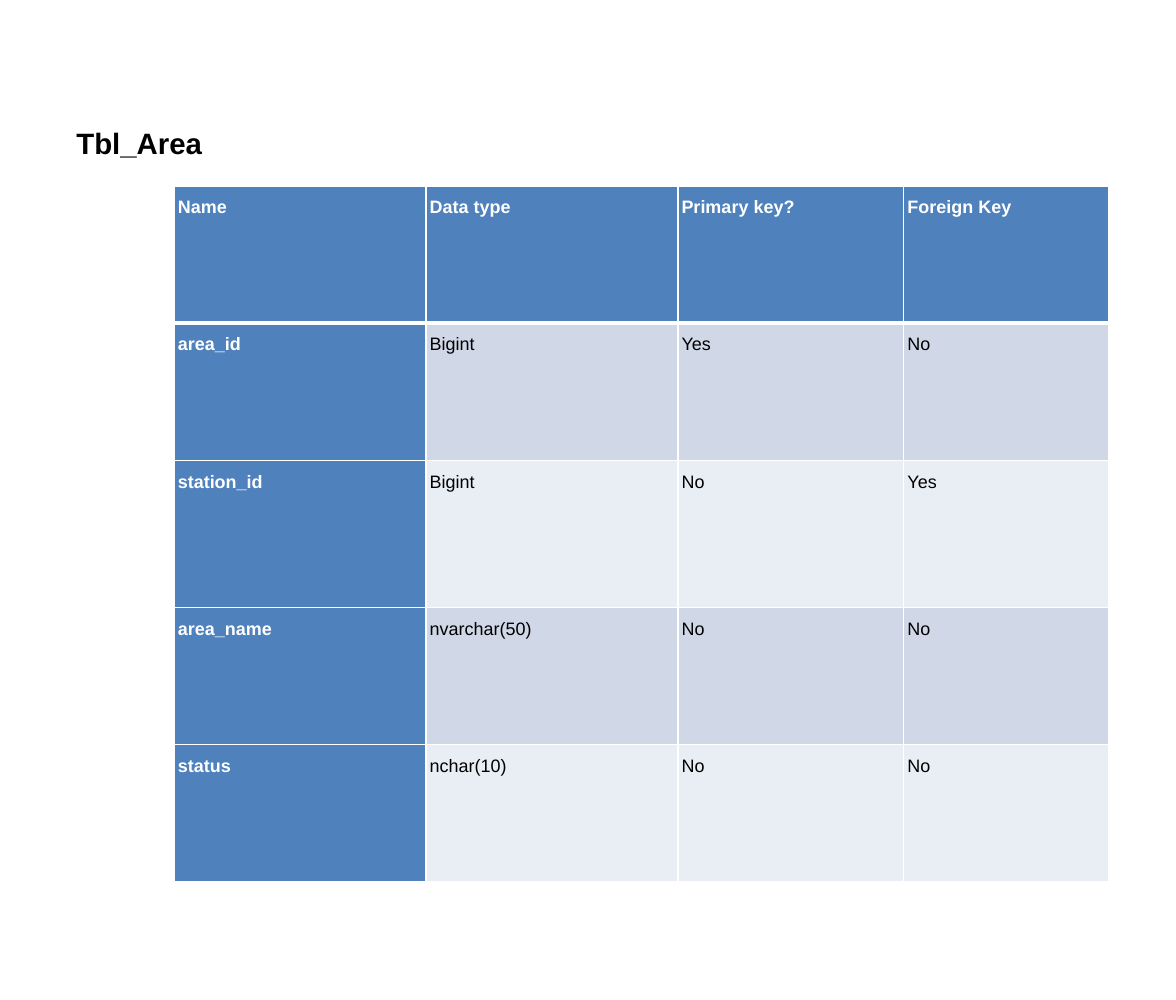
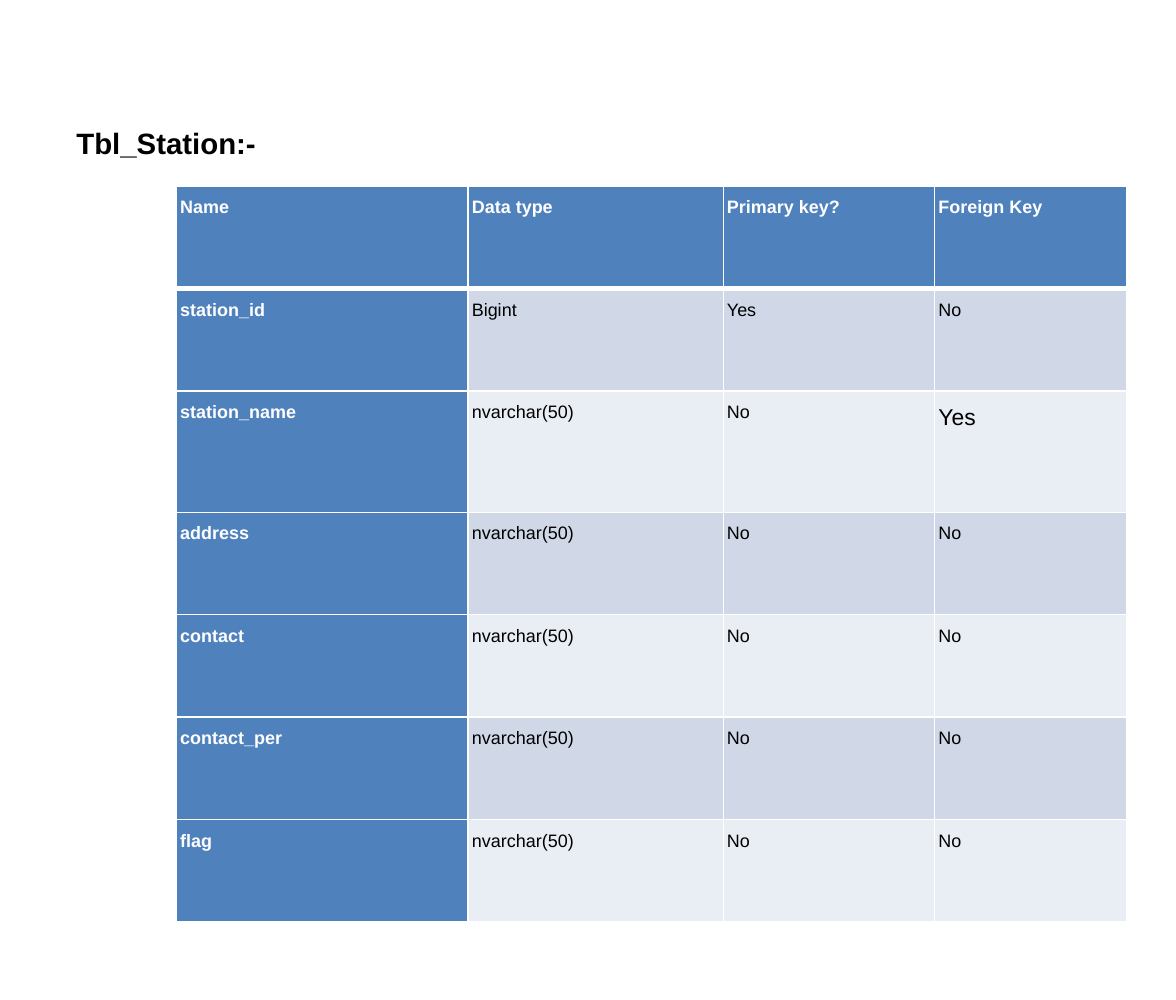
from lxml import etree
from pptx import Presentation
from pptx import util as u
from pptx.dml.color import RGBColor
from pptx.enum import text
from pptx.oxml import ns

WHITE = RGBColor(0xFF, 0xFF, 0xFF)
BLACK = RGBColor(0x00, 0x00, 0x00)
HEADER_BLUE = RGBColor(0x4F, 0x81, 0xBD)
BAND_DARK = RGBColor(0xD0, 0xD8, 0xE8)
BAND_LIGHT = RGBColor(0xE9, 0xED, 0xF4)

HEADINGS = ("Name", "Data type", "Primary key?", "Foreign Key")
AREA_FIELDS = (
    ("area_id", "Bigint", "Yes", "No"),
    ("station_id", "Bigint", "No", "Yes"),
    ("area_name", "nvarchar(50)", "No", "No"),
    ("status", "nchar(10)", "No", "No"),
)
STATION_FIELDS = (
    ("station_id", "Bigint", "Yes", "No"),
    ("station_name", "nvarchar(50)", "No", "Yes"),
    *((name, "nvarchar(50)", "No", "No")
      for name in ("address", "contact", "contact_per", "flag")),
)


def write_text(para, words, size=11, color=BLACK, bold=False, spacing=None):
    if spacing:
        para.line_spacing = spacing
    span = para.add_run()
    span.text = words
    span.font.name = "Arial"
    span.font.size = u.Pt(size)
    span.font.bold = bold
    span.font.color.rgb = color


def draw_borders(cell, top=1, bottom=1):
    properties = cell._tc.get_or_add_tcPr()
    widths = {"lnL": 1, "lnR": 1, "lnT": top, "lnB": bottom}
    for position, (side, width) in enumerate(widths.items()):
        line = etree.Element(ns.qn(f"a:{side}"), w=str(u.Pt(width)))
        fill = etree.SubElement(line, ns.qn("a:solidFill"))
        etree.SubElement(fill, ns.qn("a:srgbClr"), val=str(WHITE))
        properties.insert(position, line)


class SchemaDeck:
    def __init__(self):
        self.deck = Presentation()
        self.deck.slide_width = u.Cm(25.4)
        self.deck.slide_height = u.Cm(21.59)
        self.page = None

    def add_page(self):
        self.page = self.deck.slides.add_slide(self.deck.slide_layouts[6])

    def add_title(self, words, width):
        box = self.page.shapes.add_textbox(u.Cm(1.4), u.Cm(2.57), u.Cm(width), u.Cm(1.02))
        frame = box.text_frame
        frame.word_wrap = False
        frame.auto_size = text.MSO_AUTO_SIZE.SHAPE_TO_FIT_TEXT
        frame.vertical_anchor = text.MSO_ANCHOR.MIDDLE
        write_text(frame.paragraphs[0], words, size=18, bold=True)

    def add_fields(self, fields, left, widths, height, tall_height, large_cell=None):
        rows = (HEADINGS, *fields)
        heights = [tall_height if index == 2 else height for index in range(len(rows))]
        table = self.page.shapes.add_table(
            len(rows), len(widths), u.Cm(left), u.Cm(4.02),
            u.Cm(sum(widths)), u.Cm(sum(heights))).table
        for column, width in zip(table.columns, widths):
            column.width = u.Cm(width)
        for row_index, row in enumerate(rows):
            table.rows[row_index].height = u.Cm(heights[row_index])
            for column_index, words in enumerate(row):
                size = 14 if (row_index, column_index) == large_cell else 11
                self.fill_cell(table.cell(row_index, column_index), words,
                               row_index, column_index, size)

    def fill_cell(self, cell, words, row_index, column_index, size):
        heading = row_index == 0 or column_index == 0
        band = BAND_DARK if row_index % 2 else BAND_LIGHT
        cell.fill.solid()
        cell.fill.fore_color.rgb = HEADER_BLUE if heading else band
        cell.margin_left = cell.margin_right = u.Cm(0.03)
        cell.margin_top = cell.margin_bottom = u.Cm(0.03)
        draw_borders(cell, top=3 if row_index == 1 else 1,
                     bottom=3 if row_index == 0 else 1)
        para = cell.text_frame.paragraphs[0]
        indent = para._p.get_or_add_pPr()
        indent.set("marL", str(u.Cm(0.05)))
        indent.set("indent", "0")
        write_text(para, words, size=size, bold=heading, spacing=1.5,
                   color=WHITE if heading else BLACK)

    def save(self):
        self.deck.save("out.pptx")


def main():
    schema = SchemaDeck()

    schema.add_page()
    schema.add_title("Tbl_Area", width=3.25)
    schema.add_fields(AREA_FIELDS, left=3.76, widths=(5.44, 5.44, 4.88, 4.42),
                      height=2.96, tall_height=3.18)

    schema.add_page()
    schema.add_title("Tbl_Station:-", width=4.42)
    schema.add_fields(STATION_FIELDS, left=3.81, widths=(6.3, 5.51, 4.57, 4.14),
                      height=2.21, tall_height=2.62, large_cell=(2, 3))

    schema.save()


if __name__ == "__main__":
    main()
